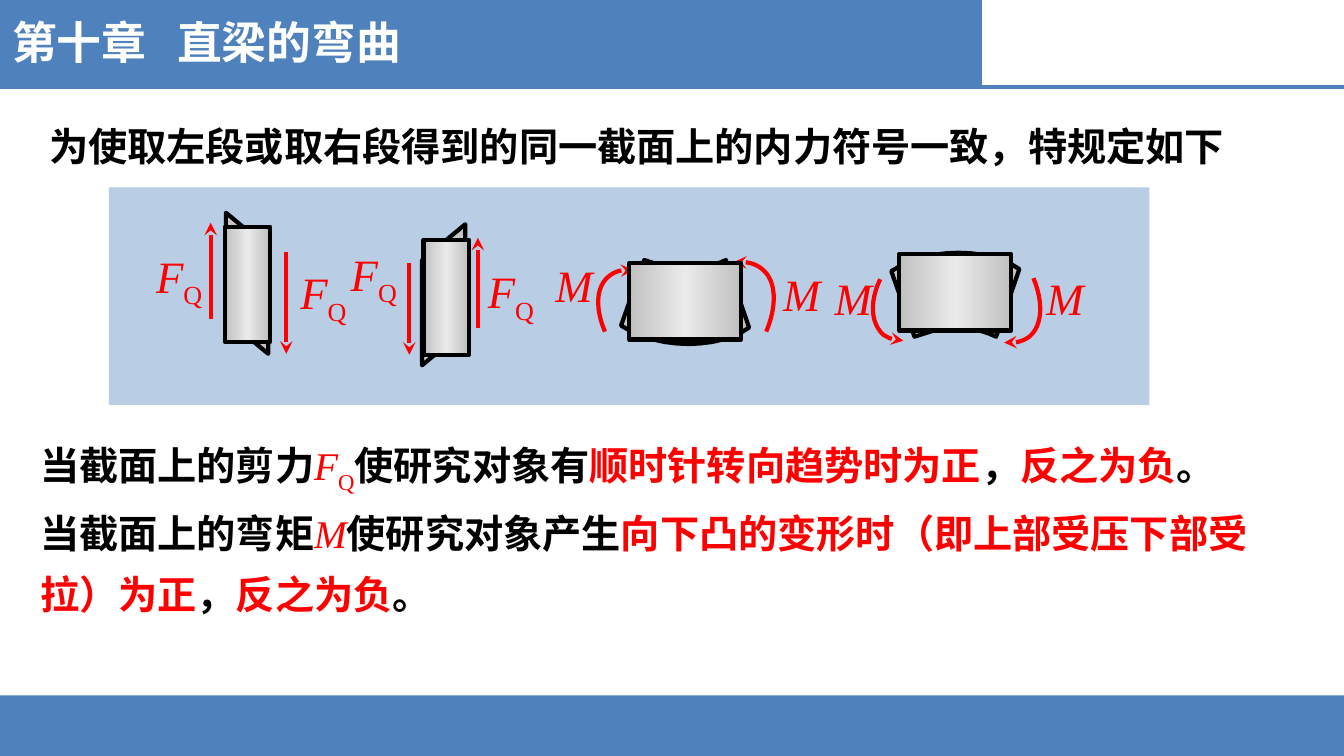
from copy import deepcopy

from lxml import etree
from pptx import Presentation
from pptx import util as u
from pptx.dml.color import RGBColor
from pptx.enum import shapes, text
from pptx.oxml import ns

BLUE = RGBColor(0x4F, 0x81, 0xBD)
PALE_BLUE = RGBColor(0xB9, 0xCD, 0xE5)
WHITE = RGBColor(0xFF, 0xFF, 0xFF)
BLACK = RGBColor(0, 0, 0)
RED = RGBColor(0xFF, 0, 0)
STEEL = RGBColor(0xC0, 0xC0, 0xC0)
STEEL_LIGHT = RGBColor(0xEA, 0xEA, 0xEA)
COLUMNS, ROWS = 133.3, 75

PLAIN = dict(color=BLACK, bold=True)
KEY = dict(color=RED, bold=True)
SYMBOL = dict(color=RED, italic=True)
INDEX = dict(color=RED, baseline=-25000)
MOMENT = [("M", SYMBOL)]
SHEAR = [("F", SYMBOL), ("Q", INDEX)]


def bezier(points, t):
    while len(points) > 1:
        points = [(a + (c - a) * t, b + (d - b) * t)
                  for (a, b), (c, d) in zip(points, points[1:])]
    return points[0]


def trace(start, segments, steps=12):
    outline = [start]
    for segment in segments:
        hull = [outline[-1], *segment]
        count = steps if len(segment) > 1 else 1
        outline += [bezier(hull, i / count) for i in range(1, count + 1)]
    return outline


class Board:
    latin = "Times New Roman"
    asian = "Noto Sans CJK SC"
    weight = u.Pt(3)

    def __init__(self, deck):
        self.col = deck.slide_width / COLUMNS
        self.row = deck.slide_height / ROWS
        self.slide = deck.slides.add_slide(deck.slide_layouts[5])

    def place(self, left, top, *size):
        scales = (self.col, self.row) * 2
        return [u.Emu(round(v * s)) for v, s in zip((left, top, *size), scales)]

    def add_runs(self, paragraph, runs, size, latin=latin):
        for content, style in runs:
            run = paragraph.add_run()
            run.text = content
            font = run.font
            font.name, font.size = latin, u.Pt(size)
            font.color.rgb = style["color"]
            font.bold = style.get("bold", False)
            font.italic = style.get("italic", False)
            properties = run._r.get_or_add_rPr()
            if "baseline" in style:
                properties.set("baseline", str(style["baseline"]))
            etree.SubElement(properties, ns.qn("a:ea"), typeface=self.asian)

    def title(self, content, box):
        heading = self.slide.shapes.title
        heading.left, heading.top, heading.width, heading.height = self.place(*box)
        frame = heading.text_frame
        frame.word_wrap = False
        frame.auto_size = text.MSO_AUTO_SIZE.NONE
        frame.vertical_anchor = text.MSO_ANCHOR.TOP
        frame.paragraphs[0].alignment = text.PP_ALIGN.LEFT
        style = dict(color=WHITE, bold=True)
        self.add_runs(frame.paragraphs[0], [(content, style)], 32, self.asian)
        heading._element.getparent().append(heading._element)

    def words(self, box, paragraphs, size, spacing=None):
        frame = self.slide.shapes.add_textbox(*self.place(*box)).text_frame
        frame.word_wrap = True
        for i, runs in enumerate(paragraphs):
            paragraph = frame.add_paragraph() if i else frame.paragraphs[0]
            paragraph.line_spacing = spacing
            self.add_runs(paragraph, runs, size)

    def band(self, box, color):
        band = self.slide.shapes.add_shape(shapes.MSO_SHAPE.RECTANGLE, *self.place(*box))
        band.shadow.inherit = False
        band.fill.solid()
        band.fill.fore_color.rgb = color
        band.line.fill.background()

    def metal(self, part):
        part.shadow.inherit = False
        part.fill.gradient()
        part.fill.gradient_angle = 0
        stops = part._element.spPr.find(".//" + ns.qn("a:gsLst"))
        stops.append(deepcopy(stops[0]))
        shades = (STEEL, 0), (STEEL_LIGHT, 0.5), (STEEL, 1)
        for stop, (shade, position) in zip(part.fill.gradient_stops, shades):
            stop.color.rgb, stop.position = shade, position
        part.line.color.rgb, part.line.width = BLACK, self.weight

    def block(self, box):
        self.metal(self.slide.shapes.add_shape(shapes.MSO_SHAPE.RECTANGLE, *self.place(*box)))

    def sheared(self, box, flipped):
        part = self.slide.shapes.add_shape(shapes.MSO_SHAPE.PARALLELOGRAM, *self.place(*box))
        part.adjustments[0] = 0.83
        part.rotation = 270
        if flipped:
            part._element.spPr.xfrm.set("flipV", "1")
        self.metal(part)

    def outline(self, points, close):
        start, *rest = [self.place(*point) for point in points]
        builder = self.slide.shapes.build_freeform(*start)
        builder.add_line_segments(rest, close=close)
        return builder.convert_to_shape()

    def bent(self, points):
        self.metal(self.outline(points, True))

    def stroke(self, part, color, arrow):
        part.line.color.rgb, part.line.width = color, self.weight
        if arrow:
            etree.SubElement(part.line._get_or_add_ln(), ns.qn("a:tailEnd"), type="stealth")

    def turn(self, points):
        arc = self.outline(points, False)
        arc.shadow.inherit = False
        arc.fill.background()
        self.stroke(arc, RED, True)

    def line(self, start, end, color, arrow=False):
        line = self.slide.shapes.add_connector(
            shapes.MSO_CONNECTOR.STRAIGHT, *self.place(*start), *self.place(*end))
        self.stroke(line, color, arrow)
        etree.SubElement(line._element.spPr, ns.qn("a:effectLst"))


def main():
    deck = Presentation()
    deck.slide_width, deck.slide_height = u.Inches(13.33), u.Inches(7.5)
    board = Board(deck)

    board.band((0, 69, COLUMNS, 6), BLUE)
    board.band((0, 0, 97.4, 8.6), BLUE)
    board.line((0, 8.6), (COLUMNS, 8.6), BLUE)
    board.title("第十章   直梁的弯曲", (0.2, 1, 41.9, 6.4))
    board.band((10.8, 18.6, 103.2, 21.6), PALE_BLUE)
    board.words((3.9, 10.2, 121, 7.1),
                [[("为使取左段或取右段得到的同一截面上的内力符号一致，特规定如下", PLAIN)]], 28, 1.3)

    board.sheared((17.5, 26, 14, 4.2), False)
    board.sheared((37, 27.1, 14, 4.3), True)
    sagging = trace((0, 6.5), [
        [(2.3, 0)], [(4.5, 0.7)], [(5.9, 1.1), (8, 1.1), (10.4, 0)],
        [(12.7, 6.7)], [(9.8, 8.8), (3.8, 9), (0, 6.5)]])
    board.bent([(61.6 + x, 25.8 + y) for x, y in sagging])
    board.bent([(88.4 + x, 33.4 - y) for x, y in sagging])

    for x, tail, head in ((20.9, 31.6, 22.1), (28.4, 25, 35.1),
                          (40.6, 26.1, 35.2), (47.4, 32.5, 23.6)):
        board.line((x, tail), (x, head), RED, True)
    for start, *bends in (
        ((60, 32.9), (59, 30.6), (59.1, 28.4), (60.4, 27.4), (61, 26.9), (61.8, 26.7), (62.8, 26.8)),
        ((76, 32.9), (77.1, 30.3), (77, 27.8), (75.6, 26.7), (74.9, 26.1), (73.9, 25.9), (72.8, 26)),
        ((87.3, 27.7), (86.2, 30), (86.4, 32.1), (87.6, 33.2), (88.2, 33.6), (88.8, 33.8), (89.6, 33.8)),
        ((102.5, 27.6), (103.5, 30), (103.4, 32.3), (102.1, 33.4), (101.4, 33.9), (100.6, 34.1), (99.6, 34)),
    ):
        board.turn(trace(start, [bends[:3], bends[3:]]))

    for left, top in ((14.5, 24.2), (28.8, 25.8), (33.8, 24), (47.4, 25.7)):
        board.words((left, top, 8, 8.1), [SHEAR], 32)
    for left, top in ((54.1, 25.1), (76.7, 26), (81.8, 26.4), (102.8, 26.4)):
        board.words((left, top, 7, 5.5), [MOMENT], 32)

    for left, top in ((22.3, 22.5), (42, 23.8)):
        board.block((left, top, 4.5, 11.4))
    for left, top in ((62.4, 26.1), (89.2, 25.2)):
        board.block((left, top, 11.1, 7.6))

    ending = [("，", PLAIN), ("反之为负", KEY), ("。", PLAIN)]
    board.words((3, 41.7, 122, 19.4), [
        [("当截面上的剪力", PLAIN), *SHEAR, ("使研究对象有", PLAIN),
         ("顺时针转向趋势时为正", KEY), *ending],
        [("当截面上的弯矩", PLAIN), *MOMENT, ("使研究对象产生", PLAIN),
         ("向下凸的变形时（即上部受压下部受拉）为正", KEY), *ending],
    ], 28, 1.3)
    deck.save("out.pptx")


if __name__ == "__main__":
    main()
